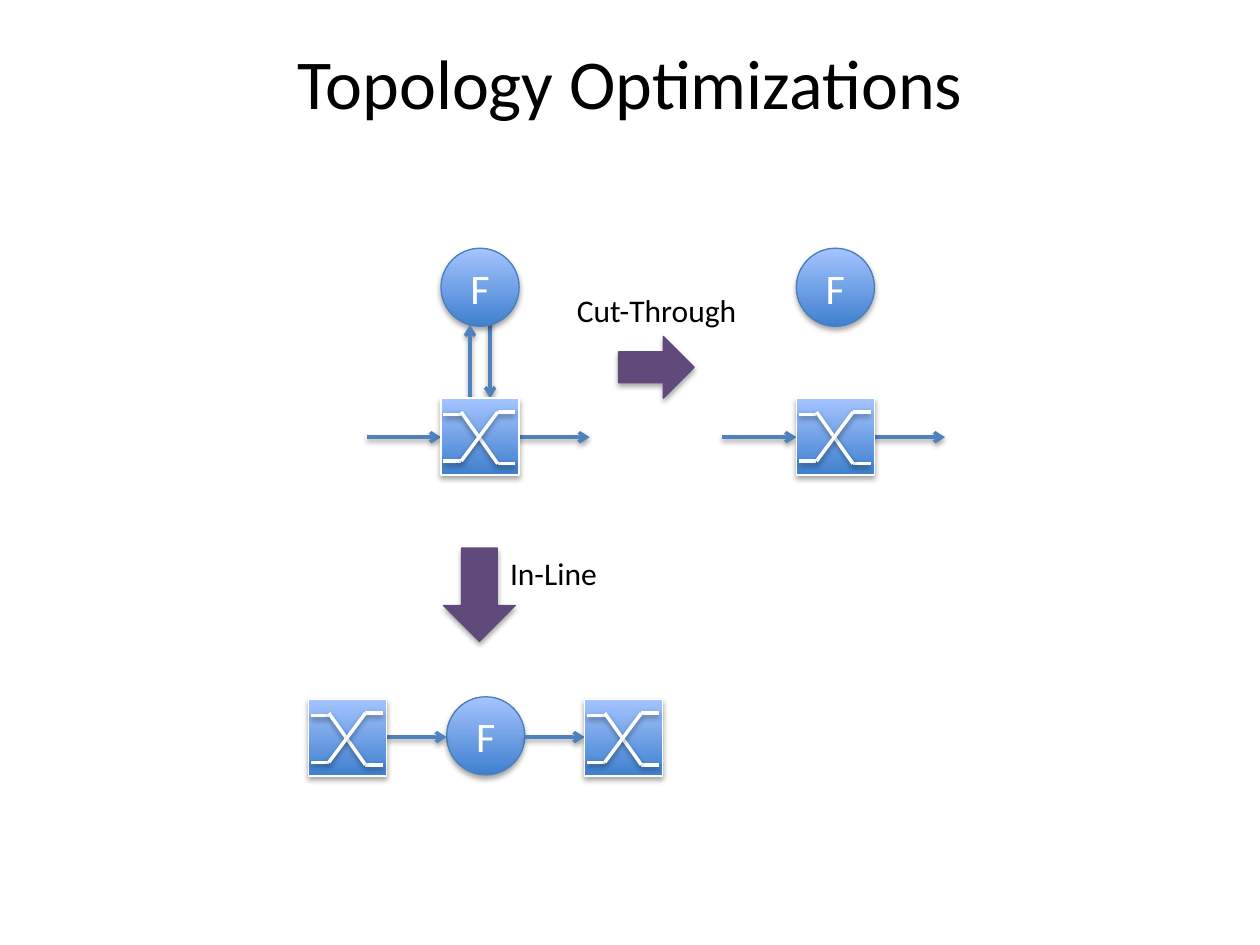
from lxml import etree
from pptx import Presentation
from pptx.dml.color import RGBColor
from pptx.enum import shapes, text
from pptx.oxml import ns
from pptx.util import Inches, Pt

BLACK = RGBColor(0x00, 0x00, 0x00)
WHITE = RGBColor(0xFF, 0xFF, 0xFF)
BLUE = RGBColor(0x4F, 0x81, 0xBD)
EDGE_BLUE = RGBColor(0x4B, 0x7E, 0xBC)
DARK_BLUE = RGBColor(0x3F, 0x80, 0xCE)
LIGHT_BLUE = RGBColor(0xA4, 0xC4, 0xFF)
PURPLE = RGBColor(0x60, 0x4A, 0x7B)

FONT = "Calibri"
NODE = 0.62  # width of a function circle or a switch
SWITCH_HEIGHT = 0.61
# Strokes of the crossing lines, relative to the switch's corner
CROSSING = [
    (0.02, 0.13, 0.16, 0.13), (0.16, 0.5, 0.02, 0.5),
    (0.59, 0.52, 0.45, 0.52), (0.59, 0.11, 0.45, 0.11),
    (0.16, 0.11, 0.45, 0.52), (0.16, 0.5, 0.45, 0.11),
]


def add_shadow(item, distance, opacity):
    properties = item._element.spPr
    effects = etree.SubElement(properties, ns.qn("a:effectLst"))
    shadow = etree.SubElement(effects, ns.qn("a:outerShdw"), blurRad="40000",
                              dist=str(distance), dir="5400000", rotWithShape="0")
    color = etree.SubElement(shadow, ns.qn("a:srgbClr"), val=str(BLACK))
    etree.SubElement(color, ns.qn("a:alpha"), val=str(opacity * 1000))


def add_line(page, x1, y1, x2, y2, color=BLUE, arrow=True):
    line = page.shapes.add_connector(
        shapes.MSO_CONNECTOR.STRAIGHT, Inches(x1), Inches(y1), Inches(x2), Inches(y2))
    line.line.color.rgb = color
    line.line.width = Pt(2)
    if arrow:
        outline = line._element.spPr.find(ns.qn("a:ln"))
        etree.SubElement(outline, ns.qn("a:tailEnd"), type="arrow")
    add_shadow(line, 20000, 38)


def add_solid(page, kind, left, top, width, height, edge, fill=None):
    """Draw a shadowed shape, with the blue gradient unless a fill is given."""
    shape = page.shapes.add_shape(
        kind, Inches(left), Inches(top), Inches(width), Inches(height))
    if fill is None:
        shape.fill.gradient()
        shape.fill.gradient_angle = 90
        for stop, color in zip(shape.fill.gradient_stops, (DARK_BLUE, LIGHT_BLUE)):
            stop.color.rgb = color
    else:
        shape.fill.solid()
        shape.fill.fore_color.rgb = fill
    shape.line.color.rgb = edge
    shape.line.width = Pt(0.75)
    add_shadow(shape, 23000, 35)
    return shape


def format_text(frame, words, size, color, align):
    frame.text = words
    para = frame.paragraphs[0]
    para.alignment = align
    para.font.name = FONT
    para.font.size = Pt(size)
    para.font.color.rgb = color


def add_function(page, left, top):
    circle = add_solid(page, shapes.MSO_SHAPE.OVAL, left, top, NODE, NODE, EDGE_BLUE)
    circle.text_frame.vertical_anchor = text.MSO_ANCHOR.MIDDLE
    format_text(circle.text_frame, "F", 24, WHITE, text.PP_ALIGN.CENTER)


def add_switch(page, left, top):
    add_solid(page, shapes.MSO_SHAPE.RECTANGLE, left, top, NODE, SWITCH_HEIGHT, WHITE)
    for x1, y1, x2, y2 in CROSSING:
        add_line(page, left + x1, top + y1, left + x2, top + y2, WHITE, arrow=False)


def add_label(page, words, left, top, width):
    box = page.shapes.add_textbox(Inches(left), Inches(top), Inches(width), Inches(0.4))
    box.text_frame.word_wrap = False
    box.text_frame.auto_size = text.MSO_AUTO_SIZE.SHAPE_TO_FIT_TEXT
    format_text(box.text_frame, words, 18, BLACK, text.PP_ALIGN.LEFT)


def add_title(page, words):
    title = page.shapes.title
    title.left, title.top = Inches(0.5), Inches(0.02)
    title.width, title.height = Inches(9), Inches(1.25)
    title.text_frame.vertical_anchor = text.MSO_ANCHOR.MIDDLE
    format_text(title.text_frame, words, 40, BLACK, text.PP_ALIGN.CENTER)


def add_stacked(page, left, top, linked):
    """Function above a switch, with traffic passing through the switch."""
    switch_top = top + 1.19
    flow = top + 1.5
    if linked:
        add_line(page, left + 0.39, top + 0.53, left + 0.39, switch_top)
    add_function(page, left, top)
    add_line(page, left - 0.59, flow, left, flow)
    add_line(page, left + 0.6, flow, left + 1.18, flow)
    if linked:
        add_line(page, left + 0.23, top + 1.27, left + 0.23, top + 0.61)
    add_switch(page, left, switch_top)


def add_chain(page, left, top):
    """Function in line between two switches."""
    pitch = 1.095
    flow = top + 0.32
    add_function(page, left + pitch, top)
    for step in range(2):
        start = left + step * pitch + NODE
        add_line(page, start, flow, start + pitch - NODE, flow)
    for step in (0, 2):
        add_switch(page, left + step * pitch, top + 0.02)


def main():
    deck = Presentation()
    deck.slide_width, deck.slide_height = Inches(10), Inches(7.5)
    page = deck.slides.add_slide(deck.slide_layouts[5])
    add_title(page, "Topology Optimizations")

    # Starting topology, and its cut-through version
    add_stacked(page, 3.5, 1.97, linked=True)
    add_stacked(page, 6.32, 1.97, linked=False)
    add_solid(page, shapes.MSO_SHAPE.RIGHT_ARROW, 4.91, 2.67, 0.6, 0.49, PURPLE, PURPLE)
    add_label(page, "Cut-Through", 4.48, 2.26, 1.49)

    # In-line version
    add_chain(page, 2.45, 5.53)
    add_solid(page, shapes.MSO_SHAPE.DOWN_ARROW, 3.52, 4.35, 0.57, 0.74, PURPLE, PURPLE)
    add_label(page, "In-Line", 3.95, 4.35, 0.9)

    deck.save("out.pptx")


if __name__ == "__main__":
    main()
